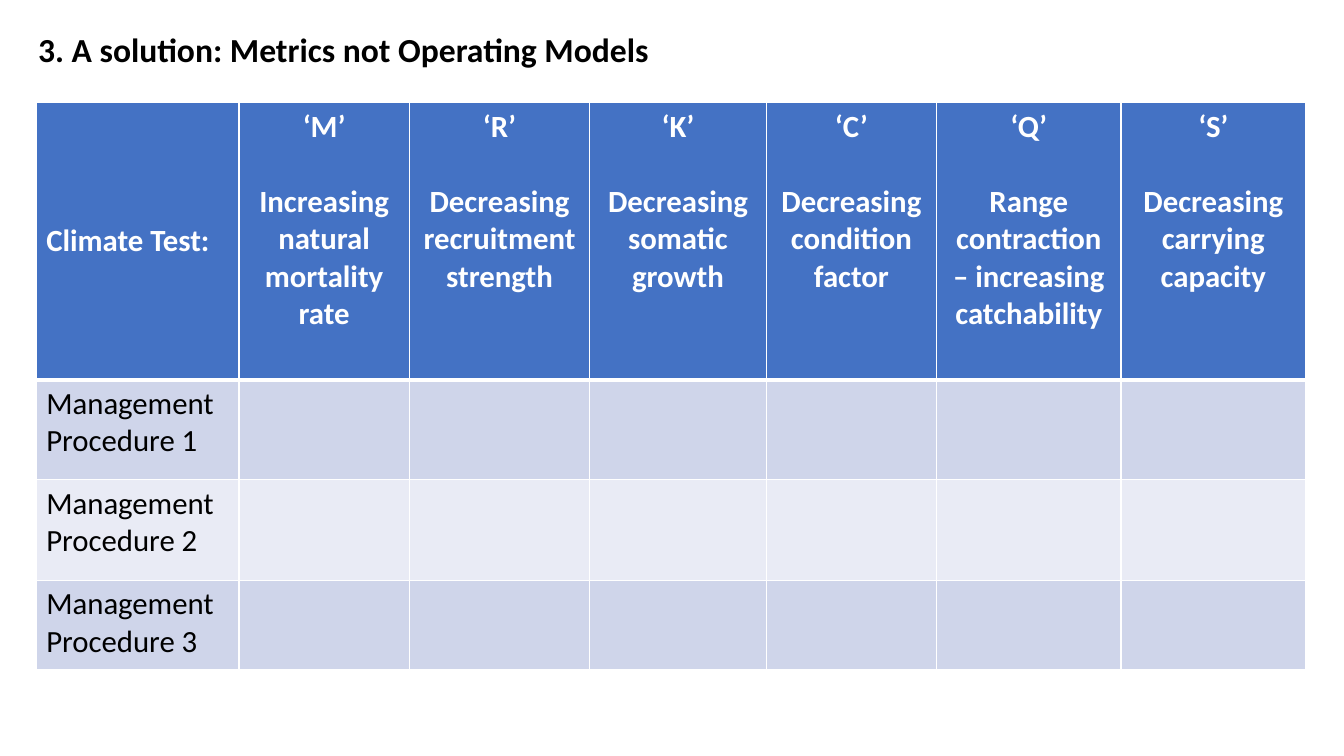
from lxml import etree
from pptx import Presentation
from pptx import util as u
from pptx.dml.color import RGBColor
from pptx.enum import text
from pptx.oxml import ns

COLORS = {"header": "4472C4", "odd": "CFD5EA", "even": "E9EBF5", "white": "FFFFFF", "black": "000000"}
FONT = "Calibri"
TABLE_SIZE = 22
COLUMN_WIDTHS = [2.01, 1.69, 1.79, 1.75, 1.69, 1.83, 1.83]
ROW_HEIGHTS = [2.75, 0.99, 1, 0.88]
CLIMATE_TESTS = [
    ("‘M’", "Increasing natural mortality rate"),
    ("‘R’", "Decreasing recruitment strength"),
    ("‘K’", "Decreasing somatic growth"),
    ("‘C’", "Decreasing condition factor"),
    ("‘Q’", "Range contraction – increasing catchability"),
    ("‘S’", "Decreasing carrying capacity"),
]


def add_span(para, words, size, color, bold=False):
    span = para.add_run()
    span.text = words
    span.font.name = FONT
    span.font.size = u.Pt(size)
    span.font.bold = bold
    span.font.color.rgb = RGBColor.from_string(COLORS[color])


def style_cell(cell, fill, top=1, bottom=1):
    properties = cell._tc.get_or_add_tcPr()
    for side, width in (("L", 1), ("R", 1), ("T", top), ("B", bottom)):
        line = etree.SubElement(properties, ns.qn(f"a:ln{side}"), w=str(u.Pt(width)))
        solid = etree.SubElement(line, ns.qn("a:solidFill"))
        etree.SubElement(solid, ns.qn("a:srgbClr"), val=COLORS["white"])
    cell.fill.solid()
    cell.fill.fore_color.rgb = RGBColor.from_string(COLORS[fill])


def add_title(page, left, top, width, height):
    box = page.shapes.add_textbox(*map(u.Inches, (left, top, width, height)))
    box.text_frame.word_wrap = True
    add_span(box.text_frame.paragraphs[0], "3. A solution: Metrics not Operating Models", 24, "black", True)


def fill_header(table):
    corner = table.cell(0, 0)
    corner.vertical_anchor = text.MSO_ANCHOR.MIDDLE
    add_span(corner.text_frame.paragraphs[0], "Climate Test:", TABLE_SIZE, "white", True)
    for column, (code, description) in enumerate(CLIMATE_TESTS, 1):
        frame = table.cell(0, column).text_frame
        code_para, description_para = frame.paragraphs[0], frame.add_paragraph()
        description_para.space_before = u.Pt(26.8)
        for para, words in ((code_para, code), (description_para, description)):
            para.alignment = text.PP_ALIGN.CENTER
            add_span(para, words, TABLE_SIZE, "white", True)


def add_test_table(page, left, top, width, height):
    frame = page.shapes.add_table(
        len(ROW_HEIGHTS), len(COLUMN_WIDTHS), *map(u.Inches, (left, top, width, height)))
    table = frame.table
    for column, column_width in zip(table.columns, COLUMN_WIDTHS):
        column.width = u.Inches(column_width)
    for index, row_height in enumerate(ROW_HEIGHTS):
        row = table.rows[index]
        row.height = u.Inches(row_height)
        fill = "header" if index == 0 else "odd" if index % 2 else "even"
        for cell in row.cells:
            style_cell(cell, fill, top=3 if index == 1 else 1, bottom=3 if index == 0 else 1)
        if index:
            para = table.cell(index, 0).text_frame.paragraphs[0]
            add_span(para, f"Management Procedure {index}", TABLE_SIZE, "black")
    fill_header(table)


def main():
    deck = Presentation()
    deck.slide_width, deck.slide_height = u.Inches(13.33), u.Inches(7.5)
    page = deck.slides.add_slide(deck.slide_layouts[6])
    add_test_table(page, 0.36, 1.02, sum(COLUMN_WIDTHS), sum(ROW_HEIGHTS))
    add_title(page, 0.28, 0.24, 6.83, 0.5)
    deck.save("out.pptx")


if __name__ == "__main__":
    main()
